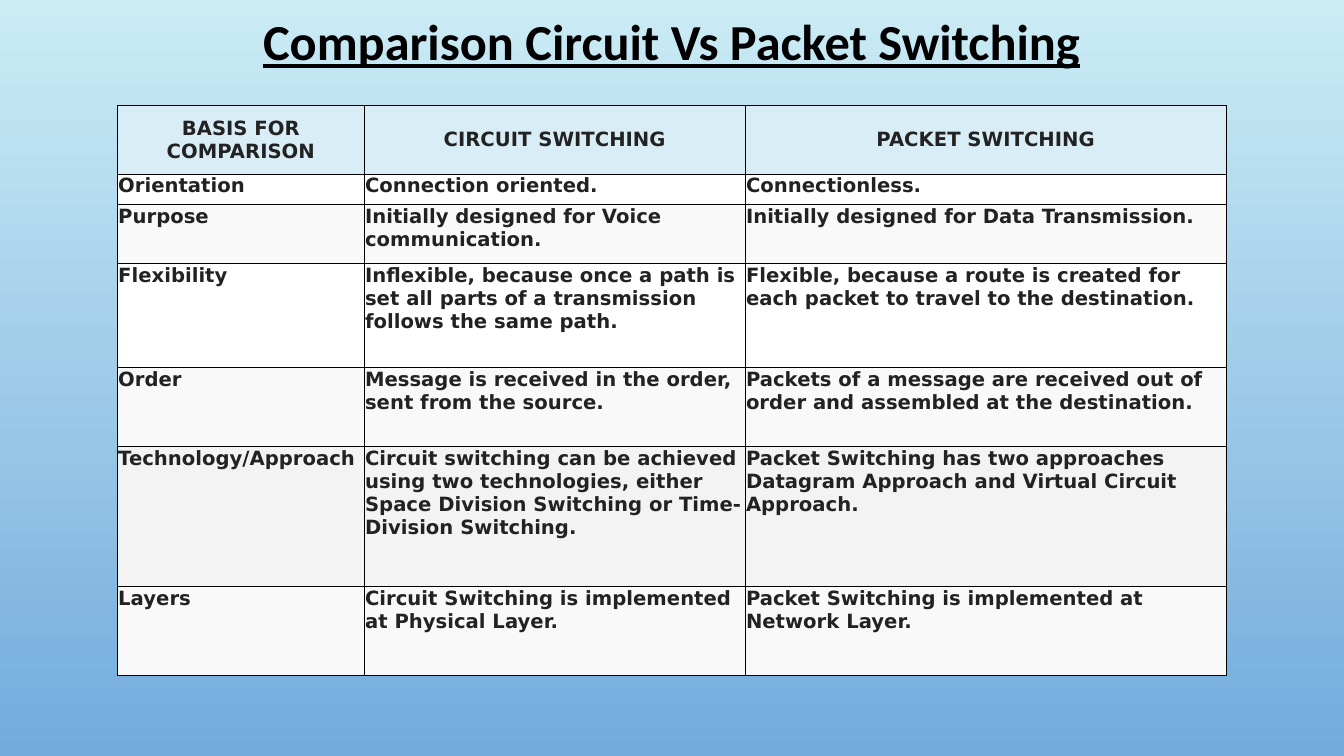
import lxml.etree
import pptx
import pptx.dml.color
import pptx.enum.text
import pptx.oxml.ns
import pptx.util

Cm = pptx.util.Cm
Pt = pptx.util.Pt
PP_ALIGN = pptx.enum.text.PP_ALIGN
MSO_ANCHOR = pptx.enum.text.MSO_ANCHOR
qn = pptx.oxml.ns.qn

COLORS = {
    "sky_top": "CBECF5",
    "sky_bottom": "73ABDD",
    "title": "000000",
    "border": "000000",
    "text": "222222",
    "header": "D9EDF7",
    "white": "FFFFFF",
    "light": "F9F9F9",
    "gray": "F3F3F3",
}

COL_WIDTHS = [6.22, 9.6, 12.12]

ROWS = [
    (1.73, "header", ["BASIS FOR COMPARISON", "CIRCUIT SWITCHING", "PACKET SWITCHING"]),
    (0.76, "white", ["Orientation", "Connection oriented.", "Connectionless."]),
    (1.5, "light", [
        "Purpose",
        "Initially designed for Voice communication.",
        "Initially designed for Data Transmission.",
    ]),
    (2.62, "white", [
        "Flexibility",
        "Inflexible, because once a path is set all parts of a transmission follows the same path.",
        "Flexible, because a route is created for each packet to travel to the destination.",
    ]),
    (1.98, "light", [
        "Order",
        "Message is received in the order, sent from the source.",
        "Packets of a message are received out of order and assembled at the destination.",
    ]),
    (3.53, "gray", [
        "Technology/Approach",
        "Circuit switching can be achieved using two technologies, either "
        "Space Division Switching or Time-Division Switching.",
        "Packet Switching has two approaches Datagram Approach and Virtual Circuit Approach.",
    ]),
    (2.26, "light", [
        "Layers",
        "Circuit Switching is implemented at Physical Layer.",
        "Packet Switching is implemented at Network Layer.",
    ]),
]


def rgb(name):
    """Return the named palette colour."""
    return pptx.dml.color.RGBColor.from_string(COLORS[name])


def write_text(tf, text, *, font, size, color, align=PP_ALIGN.LEFT, underline=None, spacing=None):
    """Write one bold paragraph into a text frame."""
    p = tf.paragraphs[0]
    p.alignment = align
    p.line_spacing = spacing
    r = p.add_run()
    r.text = text
    r.font.name = font
    r.font.size = Pt(size)
    r.font.bold = True
    r.font.underline = underline
    r.font.color.rgb = rgb(color)


def set_borders(cell, color, width):
    """Draw a solid line on all four sides of a cell."""
    tc_pr = cell._tc.get_or_add_tcPr()
    for i, side in enumerate(("a:lnL", "a:lnR", "a:lnT", "a:lnB")):
        ln = lxml.etree.Element(qn(side), w=str(Pt(width)))
        fill = lxml.etree.SubElement(ln, qn("a:solidFill"))
        lxml.etree.SubElement(fill, qn("a:srgbClr"), val=COLORS[color])
        tc_pr.insert(i, ln)


def paint_background(slide):
    """Fill the slide with a gradient running from top to bottom."""
    fill = slide.background.fill
    fill.gradient()
    fill.gradient_angle = 270
    for stop, position, color in zip(fill.gradient_stops, (0, 1), ("sky_top", "sky_bottom")):
        stop.position = position
        stop.color.rgb = rgb(color)


def add_title(slide, left, top, width, height):
    """Place the underlined slide title in the given box."""
    tf = slide.shapes.add_textbox(Cm(left), Cm(top), Cm(width), Cm(height)).text_frame
    tf.word_wrap = True
    tf.vertical_anchor = MSO_ANCHOR.MIDDLE
    write_text(tf, "Comparison Circuit Vs Packet Switching", font="Calibri", size=36,
               color="title", align=PP_ALIGN.CENTER, underline=True, spacing=0.9)


def add_comparison(slide, left, top, width, height):
    """Place the comparison table, its columns and rows scaled to the given box."""
    table = slide.shapes.add_table(len(ROWS), len(COL_WIDTHS), Cm(left), Cm(top),
                                   Cm(width), Cm(height)).table
    table.horz_banding = False
    for col, share in zip(table.columns, COL_WIDTHS):
        col.width = Cm(width * share / sum(COL_WIDTHS))
    total = sum(row_height for row_height, _, _ in ROWS)
    for row, (row_height, color, texts) in zip(table.rows, ROWS):
        row.height = Cm(height * row_height / total)
        is_header = color == "header"
        for cell, text in zip(row.cells, texts):
            cell.margin_left = cell.margin_right = cell.margin_top = Cm(0.02)
            cell.margin_bottom = 0
            cell.vertical_anchor = MSO_ANCHOR.MIDDLE if is_header else MSO_ANCHOR.TOP
            cell.fill.solid()
            cell.fill.fore_color.rgb = rgb(color)
            set_borders(cell, "border", 0.5)
            write_text(cell.text_frame, text, font="DejaVu Sans", size=14, color="text",
                       align=PP_ALIGN.CENTER if is_header else PP_ALIGN.LEFT)


def main():
    """Build the slide and save it."""
    prs = pptx.Presentation()
    prs.slide_width = Cm(33.87)
    prs.slide_height = Cm(19.05)
    slide = prs.slides.add_slide(prs.slide_layouts[6])
    paint_background(slide)
    add_title(slide, 2.54, 0.25, 28.78, 1.75)
    add_comparison(slide, 2.96, 2.65, 27.94, 14.38)
    prs.save("out.pptx")


if __name__ == "__main__":
    main()
